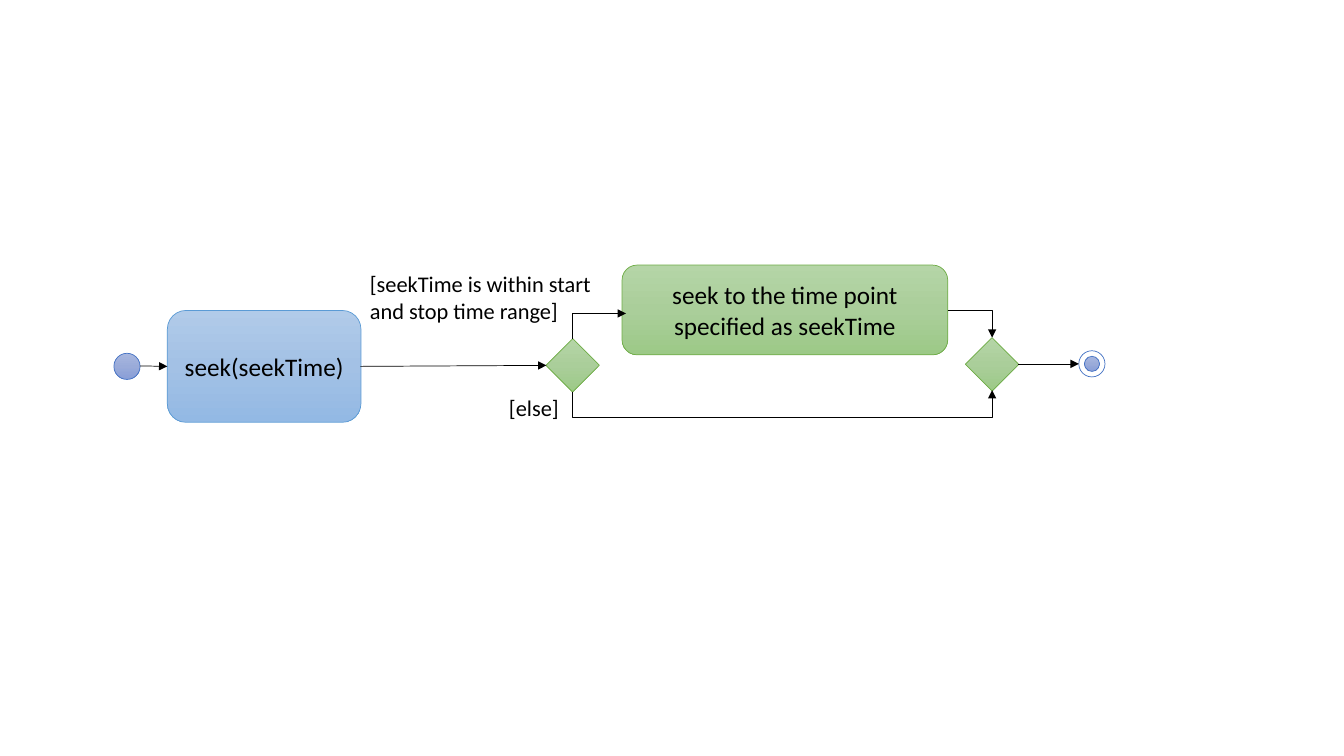
from copy import deepcopy
from dataclasses import dataclass
from typing import NamedTuple, Optional

from pptx import Presentation, util as u
from pptx.dml.color import RGBColor
from pptx.enum import shapes, text
from pptx.oxml import ns, xmlchemy

SHAPE = shapes.MSO_SHAPE
CELL = u.Inches(0.1)  # side of one grid column or row


class Paint(NamedTuple):
    line: str
    stops: tuple[str, ...]


@dataclass(frozen=True)
class Theme:
    font: str = "Calibri"
    ink: str = "000000"
    action_size: int = 18
    guard_size: int = 16
    line_width: float = 0.5
    terminal: Paint = Paint("4472C4", ("A8B7DF", "9AABD9", "889ED7"))
    ring: Paint = Paint("4472C4", ("FFFFFF",))
    call: Paint = Paint("5B9BD5", ("B1CBE9", "A3C1E5", "93B9E4"))
    step: Paint = Paint("70AD47", ("B5D5A7", "AACE9A", "9CC987"))


THEME = Theme()


class Node(NamedTuple):
    kind: SHAPE
    col: float
    row: float
    cols: float
    rows: float
    paint: Paint
    label: str = ""


class Guard(NamedTuple):
    col: float
    row: float
    cols: float
    rows: float
    label: str


class Flow(NamedTuple):
    """An arrow; bend names the preset, dip is the drop below the start."""
    start: tuple[float, float]
    end: tuple[float, float]
    bend: Optional[str] = None
    upward: bool = False
    dip: float = 0


DOT, DIAMOND = 2.6, 5.3
START = Node(SHAPE.OVAL, 11.3, 35.05, DOT, DOT, THEME.terminal)
END = (
    Node(SHAPE.OVAL, 107, 34.8, DOT, DOT, THEME.ring),
    Node(SHAPE.OVAL, 107.55, 35.35, 1.5, 1.5, THEME.terminal),
)
NODES = (
    START,
    Node(SHAPE.ROUNDED_RECTANGLE, 16.6, 30.8, 19.2, 11.1, THEME.call,
         "seek(seekTime)"),
    Node(SHAPE.DIAMOND, 95.75, 33.5, DIAMOND, DIAMOND, THEME.step),
    Node(SHAPE.ROUNDED_RECTANGLE, 61.7, 26.3, 32.3, 8.9, THEME.step,
         "seek to the time point specified as seekTime"),
    Node(SHAPE.DIAMOND, 54.15, 33.6, DIAMOND, DIAMOND, THEME.step),
)
GUARDS = (
    Guard(49.5, 38.6, 9.3, 3.7, "[else]"),
    Guard(35.7, 26.3, 24.5, 6.4,
          "[seekTime is within start and stop time range]"),
)
FLOWS = (
    Flow((13.9, 36.3), (16.6, 36.35)),
    Flow((35.75, 36.35), (54.2, 36.25)),
    Flow((101, 36.1), (107, 36.1)),
    Flow((56.8, 33.6), (62.1, 31.1), "bentConnector2", upward=True),
    Flow((56.8, 38.9), (98.4, 38.7), "bentConnector3", upward=True, dip=2.5),
    Flow((94, 30.8), (98.4, 33.5), "bentConnector2"),
)


def grid(*cells: float) -> list[int]:
    return [round(c * CELL) for c in cells]


def write(tf, label: str, **fmt) -> None:
    tf.word_wrap = True
    p = tf.paragraphs[0]
    p.alignment = fmt.get("align", text.PP_ALIGN.LEFT)
    r = p.add_run()
    r.text = label
    r.font.name = THEME.font
    r.font.size = u.Pt(fmt["size"])
    r.font.color.rgb = RGBColor.from_string(THEME.ink)


def paint_shape(s, paint: Paint) -> None:
    s.shadow.inherit = False
    s.line.color.rgb = RGBColor.from_string(paint.line)
    s.line.width = u.Pt(THEME.line_width)
    if len(paint.stops) == 1:
        s.fill.solid()
        s.fill.fore_color.rgb = RGBColor.from_string(paint.stops[0])
        return
    s.fill.gradient()
    s.fill.gradient_angle = 270
    stops = s._element.spPr.find(".//" + ns.qn("a:gsLst"))
    stops.insert(1, deepcopy(stops[0]))
    for i, (stop, color) in enumerate(zip(s.fill.gradient_stops, paint.stops)):
        stop.position = i / (len(paint.stops) - 1)
        stop.color.rgb = RGBColor.from_string(color)


def add_node(parent, node: Node) -> None:
    s = parent.add_shape(node.kind, *grid(*node[1:5]))
    paint_shape(s, node.paint)
    if node.label:
        s.text_frame.vertical_anchor = text.MSO_ANCHOR.MIDDLE
        write(s.text_frame, node.label, size=THEME.action_size,
              align=text.PP_ALIGN.CENTER)


def add_guard(parent, guard: Guard) -> None:
    tf = parent.add_textbox(*grid(*guard[:4])).text_frame
    write(tf, guard.label, size=THEME.guard_size)
    tf.auto_size = text.MSO_AUTO_SIZE.SHAPE_TO_FIT_TEXT


def add_flow(parent, flow: Flow) -> None:
    (x1, y1), (x2, y2) = flow.start, flow.end
    rise = y1 - y2
    if flow.upward:
        # A quarter turn about the centre swaps the frame's two sides.
        mid_x, mid_y = (x1 + x2) / 2, (y1 + y2) / 2
        half_w, half_h = rise / 2, (x2 - x1) / 2
        x1, y1 = mid_x + half_w, mid_y + half_h
        x2, y2 = mid_x - half_w, mid_y - half_h
    kind = shapes.MSO_CONNECTOR.ELBOW if flow.bend else shapes.MSO_CONNECTOR.STRAIGHT
    c = parent.add_connector(kind, *grid(x1, y1, x2, y2))
    c.line.color.rgb = RGBColor.from_string(THEME.ink)
    c.line.width = u.Pt(THEME.line_width)
    sp_pr = c._element.spPr
    xmlchemy.OxmlElement
    tail = xmlchemy.OxmlElement("a:tailEnd")
    tail.set("type", "triangle")
    c.line._get_or_add_ln().append(tail)
    sp_pr.append(xmlchemy.OxmlElement("a:effectLst"))
    if flow.upward:
        sp_pr.find(ns.qn("a:xfrm")).set("rot", "5400000")
    if flow.bend:
        geom = sp_pr.find(ns.qn("a:prstGeom"))
        geom.set("prst", flow.bend)
        if flow.dip:
            guide = xmlchemy.OxmlElement("a:gd")
            guide.set("name", "adj1")
            guide.set("fmla", f"val {round(-flow.dip / rise * 100000)}")
            geom.find(ns.qn("a:avLst")).append(guide)


def main() -> None:
    prs = Presentation()
    prs.slide_width, prs.slide_height = u.Inches(13.33), u.Inches(7.5)
    canvas = prs.slides.add_slide(prs.slide_layouts[6]).shapes
    for node in NODES:
        add_node(canvas, node)
    for guard in GUARDS:
        add_guard(canvas, guard)
    end_mark = canvas.add_group_shape().shapes
    for node in END:
        add_node(end_mark, node)
    for flow in FLOWS:
        add_flow(canvas, flow)
    prs.save("out.pptx")


if __name__ == "__main__":
    main()
